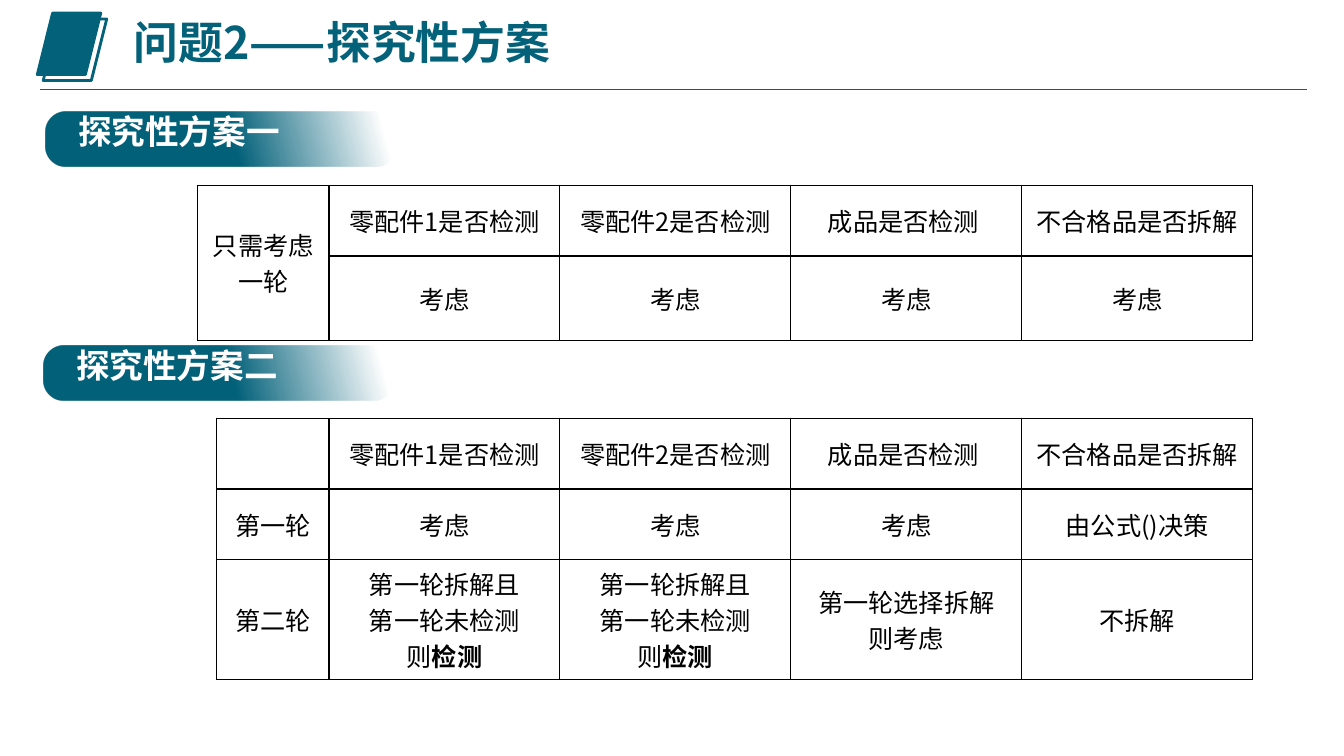
from lxml.etree import SubElement
from pptx import Presentation
from pptx.dml.color import RGBColor
from pptx.enum.shapes import MSO_CONNECTOR, MSO_SHAPE
from pptx.enum.text import MSO_ANCHOR, PP_ALIGN
from pptx.oxml import parse_xml
from pptx.oxml.ns import nsdecls, qn
from pptx.util import Cm, Pt

TEAL = RGBColor(0x03, 0x61, 0x7A)
WHITE = RGBColor(0xFF, 0xFF, 0xFF)
BLACK = RGBColor(0x00, 0x00, 0x00)
FONT = "Noto Sans CJK SC"

CHOICE_WIDTH = 5.82
TABLE_RIGHT = 31.57
ROW_HEIGHT = 1.78
BANNER_STOPS = [(0, 100), (53, 100), (95, 0)]  # position and opacity in percent

QUESTIONS = ["零配件1是否检测", "零配件2是否检测", "成品是否检测 ", "不合格品是否拆解"]
RETEST = "第一轮拆解且\n第一轮未检测\n则**检测"
PLAN_ONE = [
    ["只需考虑\n一轮"] + QUESTIONS,
    [""] + ["考虑"] * 4,
]
PLAN_TWO = [
    [""] + QUESTIONS,
    ["第一轮"] + ["考虑"] * 3 + ["由公式()决策"],
    ["第二轮", RETEST, RETEST, "第一轮选择拆解\n则考虑", "不拆解"],
]


def add_span(para, text, size, color, bold=False):
    span = para.add_run()
    span.text = text
    span.font.name = FONT
    span.font.size = Pt(size)
    span.font.bold = bold
    span.font.color.rgb = color
    SubElement(span.font._element, qn("a:ea"), typeface=FONT)


def add_heading(page, left, top, width, height, text, size, color):
    box = page.shapes.add_textbox(Cm(left), Cm(top), Cm(width), Cm(height))
    box.text_frame.word_wrap = True
    box.text_frame.margin_top = 0
    para = box.text_frame.paragraphs[0]
    para.line_spacing = 0.9
    para.space_before = Pt(10)
    add_span(para, text, size, color, bold=True)


def add_title_bar(page, left, top, width, text):
    """Place the book icon, the title and the rule beneath them."""
    for shift, filled in ((0, True), (0.15, False)):
        cover = page.shapes.add_shape(
            MSO_SHAPE.PARALLELOGRAM,
            Cm(left + shift), Cm(top + shift), Cm(1.6), Cm(1.55))
        cover.shadow.inherit = False
        cover.line.color.rgb = TEAL
        cover.line.width = Pt(2)
        if filled:
            cover.fill.solid()
            cover.fill.fore_color.rgb = TEAL
        else:
            cover.fill.background()

    rule_top = Cm(top + 1.93)
    rule = page.shapes.add_connector(
        MSO_CONNECTOR.STRAIGHT, Cm(left + 0.08), rule_top, Cm(left + width), rule_top)
    rule.line.color.rgb = TEAL
    rule.line.width = Pt(0.75)
    SubElement(rule._element.spPr, qn("a:effectLst"))

    add_heading(page, left + 2.18, top + 0.2, 22, 1.7, text, 32, TEAL)


def add_banner(page, left, top, text):
    """Place a section label on a bar that fades out to the right."""
    bar = page.shapes.add_shape(
        MSO_SHAPE.ROUNDED_RECTANGLE, Cm(left), Cm(top), Cm(8.84), Cm(1.37))
    bar.adjustments[0] = 0.37
    bar.shadow.inherit = False
    bar.line.fill.background()
    bar.fill.gradient()
    bar.fill.gradient_angle = 15
    stops = bar._element.spPr.find(qn("a:gradFill")).find(qn("a:gsLst"))
    for stop in list(stops):
        stops.remove(stop)
    for position, opacity in BANNER_STOPS:
        stop = SubElement(stops, qn("a:gs"), pos=str(position * 1000))
        color = SubElement(stop, qn("a:srgbClr"), val=str(TEAL))
        SubElement(color, qn("a:alpha"), val=str(opacity * 1000))

    add_heading(page, left + 0.58, top + 0.1, 5.82, 1.27, text, 24, WHITE)


def add_borders(cell):
    properties = cell._tc.get_or_add_tcPr()
    for index, side in enumerate(("lnL", "lnR", "lnT", "lnB")):
        properties.insert(index, parse_xml(
            f'<a:{side} {nsdecls("a")} w="12700"><a:solidFill>'
            f'<a:srgbClr val="{BLACK}"/></a:solidFill></a:{side}>'))


def fill_cell(cell, text):
    """Write one paragraph a line; what follows ** in a line is bold."""
    cell.vertical_anchor = MSO_ANCHOR.MIDDLE
    cell.fill.background()
    add_borders(cell)
    for index, line in enumerate(text.split("\n")):
        frame = cell.text_frame
        para = frame.add_paragraph() if index else frame.paragraphs[0]
        para.alignment = PP_ALIGN.CENTER
        plain, _, strong = line.partition("**")
        if plain:
            add_span(para, plain, 18, BLACK)
        if strong:
            add_span(para, strong, 18, BLACK, bold=True)


def add_plan_table(page, top, label_width, heights, rows):
    """Place a table whose right edge stands at TABLE_RIGHT."""
    widths = [label_width] + [CHOICE_WIDTH] * len(QUESTIONS)
    table = page.shapes.add_table(
        len(rows), len(widths), Cm(TABLE_RIGHT - sum(widths)), Cm(top),
        Cm(sum(widths)), Cm(sum(heights))).table
    table.first_row = False
    table.horz_banding = False
    for column, width in zip(table.columns, widths):
        column.width = Cm(width)
    for row, height, texts in zip(table.rows, heights, rows):
        row.height = Cm(height)
        for cell, text in zip(row.cells, texts):
            fill_cell(cell, text)
    return table


def main():
    deck = Presentation()
    deck.slide_width, deck.slide_height = Cm(33.87), Cm(19.05)
    page = deck.slides.add_slide(deck.slide_layouts[6])

    add_title_bar(page, 0.94, 0.33, 32, "问题2——探究性方案")
    add_banner(page, 1.14, 2.82, "探究性方案一")
    add_banner(page, 1.09, 8.71, "探究性方案二")
    add_plan_table(page, 10.54, 2.83, [ROW_HEIGHT, ROW_HEIGHT, 3.02], PLAN_TWO)
    table = add_plan_table(page, 4.67, 3.31, [ROW_HEIGHT, 2.12], PLAN_ONE)
    table.cell(0, 0).merge(table.cell(1, 0))

    deck.save("out.pptx")


if __name__ == "__main__":
    main()
